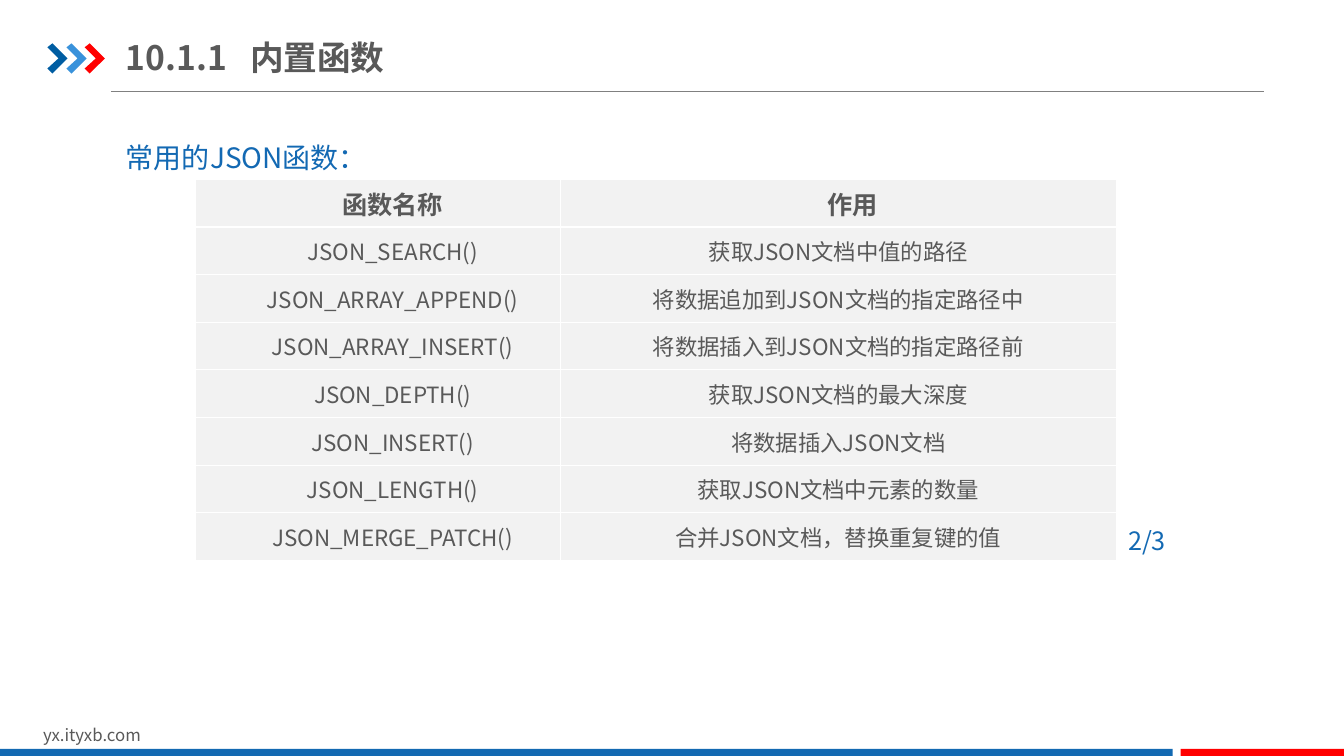
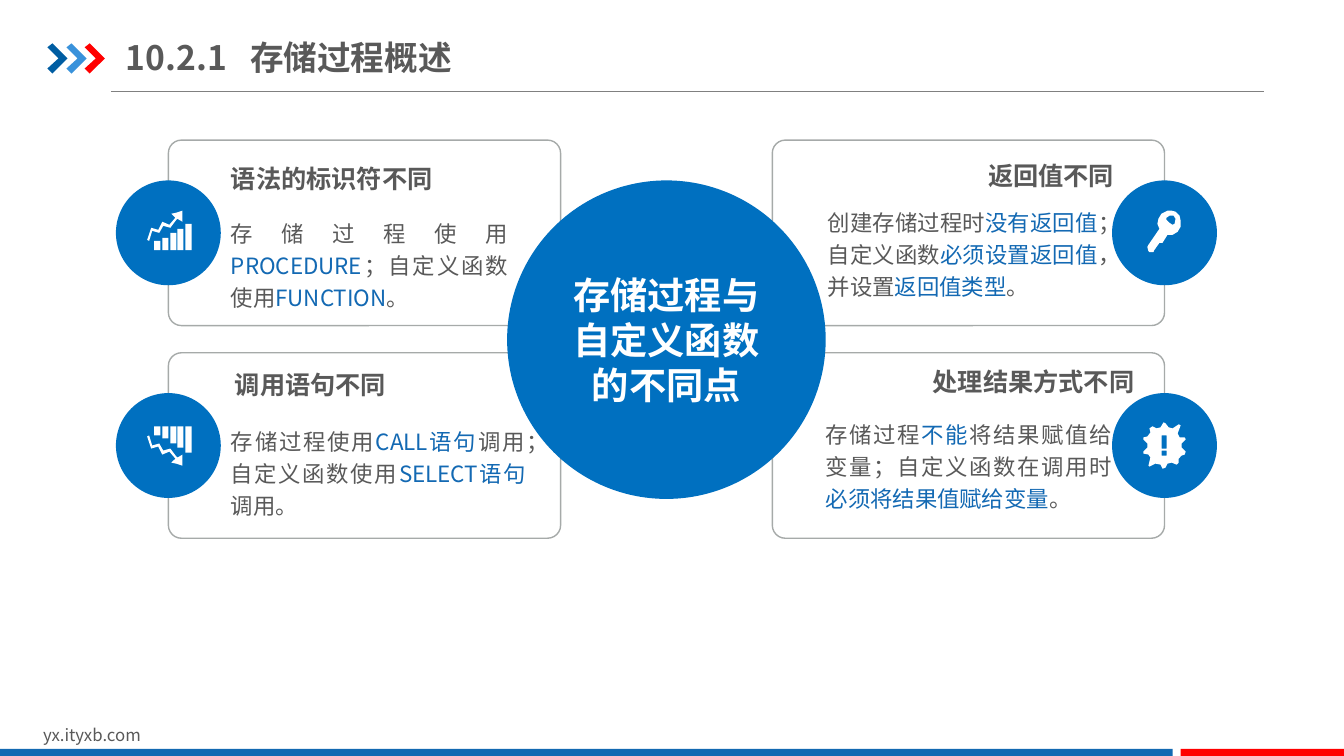
from lxml.etree import SubElement
from pptx import Presentation
from pptx.dml.color import RGBColor
from pptx.enum.shapes import MSO_CONNECTOR, MSO_SHAPE
from pptx.enum.text import MSO_ANCHOR, PP_ALIGN
from pptx.oxml.ns import qn
from pptx.util import Pt

SCALE = 9144
FONT = "Noto Sans CJK SC"
COLORS = {
    "text": "595959", "accent": "1369B3", "footer": "1369B2", "red": "FF0000",
    "navy": "005DA2", "sky": "3992DB", "circle": "0070C0", "white": "FFFFFF",
    "cell": "F2F2F2", "card": "A6AAA9", "rule": "808080",
}

CHEVRONS = [(47, "navy"), (66, "sky"), (84, "red")]
CHEVRON_OUTLINE = [(0, 4), (5, 0), (20, 15), (5, 30), (0, 25), (11, 15)]
FOOTER_BARS = [(0, 1163, "footer"), (1171, 162, "red")]
SITE = "yx.ityxb.com"

FUNCTIONS_TITLE = "10.1.1\t内置函数"
FUNCTIONS_INTRO = "常用的JSON函数："
FUNCTIONS_PAGE = "2/3"
FUNCTIONS = [
    ("函数名称", "作用"),
    ("JSON_SEARCH()", "获取JSON文档中值的路径"),
    ("JSON_ARRAY_APPEND()", "将数据追加到JSON文档的指定路径中"),
    ("JSON_ARRAY_INSERT()", "将数据插入到JSON文档的指定路径前"),
    ("JSON_DEPTH()", "获取JSON文档的最大深度"),
    ("JSON_INSERT()", "将数据插入JSON文档"),
    ("JSON_LENGTH()", "获取JSON文档中元素的数量"),
    ("JSON_MERGE_PATCH()", "合并JSON文档，替换重复键的值"),
]
COLUMN_WIDTHS = (362, 551)
TABLE_HEIGHT = 378


def rectangle(left, top, right, bottom):
    return [(left, top), (right, top), (right, bottom), (left, bottom)]


TREND_ARROW = [
    (47, 45), (54, 47), (60, 39), (61, 38), (66, 41), (66, 30), (60, 32), (55, 33), (59, 37),
    (53, 44), (46, 41), (42, 49), (35, 47), (31, 59), (33, 60), (36, 50), (43, 52),
]
TREND_BARS = [(38, 60), (46, 57), (54, 52), (61, 48), (69, 43)]
GROWTH = [TREND_ARROW] + [rectangle(x, top, x + 6, 69) for x, top in TREND_BARS]
DECLINE = [[(x, 102 - y) for x, y in outline] for outline in GROWTH]
KEY = [
    [(68, 40), (67, 35), (63, 31), (59, 30), (55, 30), (49, 33), (46, 38), (45, 43), (47, 48),
     (36, 64), (35, 66), (36, 70), (37, 71), (41, 71), (42, 69), (47, 62), (50, 62), (55, 54),
     (60, 54), (65, 51), (68, 46)],
    [(62, 43), (60, 44), (57, 42), (54, 39), (54, 37), (57, 35), (61, 35), (63, 38)],
]
ALERT = [
    [(73, 58), (69, 54), (69, 50), (73, 46), (72, 44), (67, 44), (65, 40), (68, 32), (66, 31),
     (60, 35), (56, 34), (53, 30), (51, 29), (48, 34), (44, 35), (40, 33), (37, 35), (38, 39),
     (35, 43), (31, 44), (31, 46), (35, 50), (35, 54), (31, 58), (31, 60), (36, 61), (38, 64),
     (36, 72), (37, 73), (43, 70), (48, 71), (50, 75), (53, 74), (55, 70), (59, 69), (64, 71),
     (66, 69), (66, 65), (69, 62), (72, 61)],
    rectangle(49, 42, 54, 55),
    rectangle(49, 57, 54, 62),
]

PROCEDURE_TITLE = "10.2.1\t存储过程概述"
PROCEDURE_CORE = "存储过程与自定义函数的不同点"
CARD_LEFTS, CARD_TOPS = (167, 766), (139, 350)
CARD_WIDTH, CARD_HEIGHT, BADGE = 389, 184, 104
DIFFERENCES = [
    {"column": 0, "row": 0, "icon": GROWTH,
     "heading": "语法的标识符不同", "heading_box": (229, 152, 204, 44),
     "body": ["存储过程使用", "PROCEDURE", "；自定义函数使用", "FUNCTION", "。"],
     "body_box": (229, 213, 275, 98)},
    {"column": 0, "row": 1, "icon": DECLINE,
     "heading": "调用语句不同", "heading_box": (233, 356, 204, 44),
     "body": ["存储过程使用", "CALL语句", "调用；自定义函数使用", "SELECT语句", "调用。"],
     "body_box": (229, 419, 293, 92)},
    {"column": 1, "row": 0, "icon": KEY,
     "heading": "返回值不同", "heading_box": (901, 152, 204, 44),
     "body": ["创建存储过程时", "没有返回值", "；自定义函数", "必须设置返回值", "，并设置",
              "返回值类型", "。"],
     "body_box": (821, 202, 268, 98)},
    {"column": 1, "row": 1, "icon": ALERT,
     "heading": "处理结果方式不同", "heading_box": (921, 356, 204, 44),
     "body": ["存储过程", "不能", "将结果赋值给变量；自定义函数在调用时", "必须将结果值赋给变量", "。"],
     "body_box": (819, 412, 284, 83)},
]


def px(length):
    return length * SCALE


def color(name):
    return RGBColor.from_string(COLORS[name])


def write(frame, text, size=16, fill="text", bold=False, align=PP_ALIGN.LEFT,
          anchor=MSO_ANCHOR.TOP, insets=(10, 5, 10, 5), spacing=None, indent=0, tab=0):
    """A list of strings alternates plain and highlighted runs."""
    frame.word_wrap = True
    frame.vertical_anchor = anchor
    (frame.margin_left, frame.margin_top,
     frame.margin_right, frame.margin_bottom) = map(px, insets)
    paragraph = frame.paragraphs[0]
    paragraph.alignment = align
    if spacing:
        paragraph.line_spacing = spacing
    properties = paragraph._p.get_or_add_pPr()
    if indent:
        properties.set("marL", "0")
        properties.set("indent", str(px(indent)))
    if tab:
        stops = SubElement(properties, qn("a:tabLst"))
        SubElement(stops, qn("a:tab"), pos=str(px(tab)), algn="l")
    for position, words in enumerate([text] if isinstance(text, str) else text):
        run = paragraph.add_run()
        run.text = words
        run.font.size = Pt(size)
        run.font.bold = bold
        run.font.color.rgb = color("accent" if position % 2 else fill)
        run.font.name = FONT
        SubElement(run._r.get_or_add_rPr(), qn("a:ea"), typeface=FONT)


def add_text(slide, box, text, **style):
    write(slide.shapes.add_textbox(*map(px, box)).text_frame, text, **style)


def paint(shape, fill=None, line=None):
    shape.shadow.inherit = False
    if fill:
        shape.fill.solid()
        shape.fill.fore_color.rgb = color(fill)
    else:
        shape.fill.background()
    if line:
        shape.line.color.rgb = color(line)
        shape.line.width = Pt(1)
    else:
        shape.line.fill.background()
    return shape


def add_preset(slide, preset, box, **style):
    return paint(slide.shapes.add_shape(preset, *map(px, box)), **style)


def add_outlines(slide, left, top, outlines, fill):
    placed = [[(left + x, top + y) for x, y in outline] for outline in outlines]
    builder = slide.shapes.build_freeform(*placed[0][0], scale=SCALE)
    for number, outline in enumerate(placed):
        if number:
            builder.move_to(*outline[0])
        builder.add_line_segments(outline[1:], close=True)
    paint(builder.convert_to_shape(), fill=fill)


def add_framed_slide(deck, title):
    slide = deck.slides.add_slide(deck.slide_layouts[6])
    rule = slide.shapes.add_connector(MSO_CONNECTOR.STRAIGHT, *map(px, (110, 91, 1254, 91)))
    rule.line.color.rgb = color("rule")
    rule.line.width = Pt(0.75)
    SubElement(rule._element.spPr, qn("a:effectLst"))
    for left, fill in CHEVRONS:
        add_outlines(slide, left, 43, [CHEVRON_OUTLINE], fill)
    add_text(slide, (33, 714, 318, 30), SITE, size=12)
    for left, width, fill in FOOTER_BARS:
        add_preset(slide, MSO_SHAPE.RECTANGLE, (left, 743, width, 7), fill=fill)
    add_text(slide, (125, 29, 426, 55), title, size=24, bold=True,
             anchor=MSO_ANCHOR.MIDDLE, insets=(0, 7, 0, 7), tab=123)
    return slide


def add_borders(cell):
    properties = cell._tc.get_or_add_tcPr()
    for side in ("lnL", "lnR", "lnT", "lnB"):
        border = SubElement(properties, qn(f"a:{side}"), w=str(Pt(1)))
        SubElement(SubElement(border, qn("a:solidFill")), qn("a:srgbClr"), val=COLORS["white"])


def add_function_table(slide):
    box = (194, 178, sum(COLUMN_WIDTHS), TABLE_HEIGHT)
    table = slide.shapes.add_table(len(FUNCTIONS), len(COLUMN_WIDTHS), *map(px, box)).table
    table.first_row = table.horz_banding = False
    for column, width in zip(table.columns, COLUMN_WIDTHS):
        column.width = px(width)
    for row, values in enumerate(FUNCTIONS):
        table.rows[row].height = px(TABLE_HEIGHT) // len(FUNCTIONS)
        header = row == 0
        for column, value in enumerate(values):
            cell = table.cell(row, column)
            write(cell.text_frame, value, size=18 if header else 16, bold=header,
                  align=PP_ALIGN.CENTER, indent=29 if header or column == 0 else -1)
            cell.vertical_anchor = MSO_ANCHOR.MIDDLE
            cell.margin_left = cell.margin_right = px(7)
            cell.margin_top = cell.margin_bottom = 0
            add_borders(cell)
            cell.fill.solid()
            cell.fill.fore_color.rgb = color("cell")


def build_functions(deck):
    slide = add_framed_slide(deck, FUNCTIONS_TITLE)
    add_text(slide, (115, 118, 1140, 55), FUNCTIONS_INTRO, size=20, fill="accent", spacing=1.5)
    add_function_table(slide)
    add_text(slide, (1109, 516, 61, 40), FUNCTIONS_PAGE, size=18, fill="accent")


def build_procedure(deck):
    slide = add_framed_slide(deck, PROCEDURE_TITLE)
    for left in CARD_LEFTS:
        for top in CARD_TOPS:
            card = add_preset(slide, MSO_SHAPE.ROUNDED_RECTANGLE,
                              (left, top, CARD_WIDTH, CARD_HEIGHT), line="card")
            card.adjustments[0] = 0.07
    core = add_preset(slide, MSO_SHAPE.OVAL, (503, 179, 316, 316), fill="circle")
    write(core.text_frame, PROCEDURE_CORE, size=26.6, fill="white", bold=True,
          align=PP_ALIGN.CENTER, anchor=MSO_ANCHOR.MIDDLE, insets=(13, 0, 13, 0))
    for item in DIFFERENCES:
        on_right = item["column"] == 1
        add_text(slide, item["body_box"], item["body"], align=PP_ALIGN.JUSTIFY,
                 insets=(0, 0, 0, 0), spacing=1.2)
        add_text(slide, item["heading_box"], item["heading"], size=18, bold=True,
                 align=PP_ALIGN.RIGHT if on_right else PP_ALIGN.LEFT,
                 anchor=MSO_ANCHOR.MIDDLE, insets=(0, 0, 0, 0),
                 spacing=None if on_right else 1.2)
        outer_edge = CARD_LEFTS[item["column"]] + CARD_WIDTH * item["column"]
        left = outer_edge - BADGE // 2
        top = CARD_TOPS[item["row"]] + (CARD_HEIGHT - BADGE) // 2
        add_preset(slide, MSO_SHAPE.OVAL, (left, top, BADGE, BADGE), fill="circle")
        add_outlines(slide, left, top, item["icon"], "white")


def main():
    deck = Presentation()
    deck.slide_width, deck.slide_height = px(1333), px(750)
    build_functions(deck)
    build_procedure(deck)
    deck.save("out.pptx")


if __name__ == "__main__":
    main()
